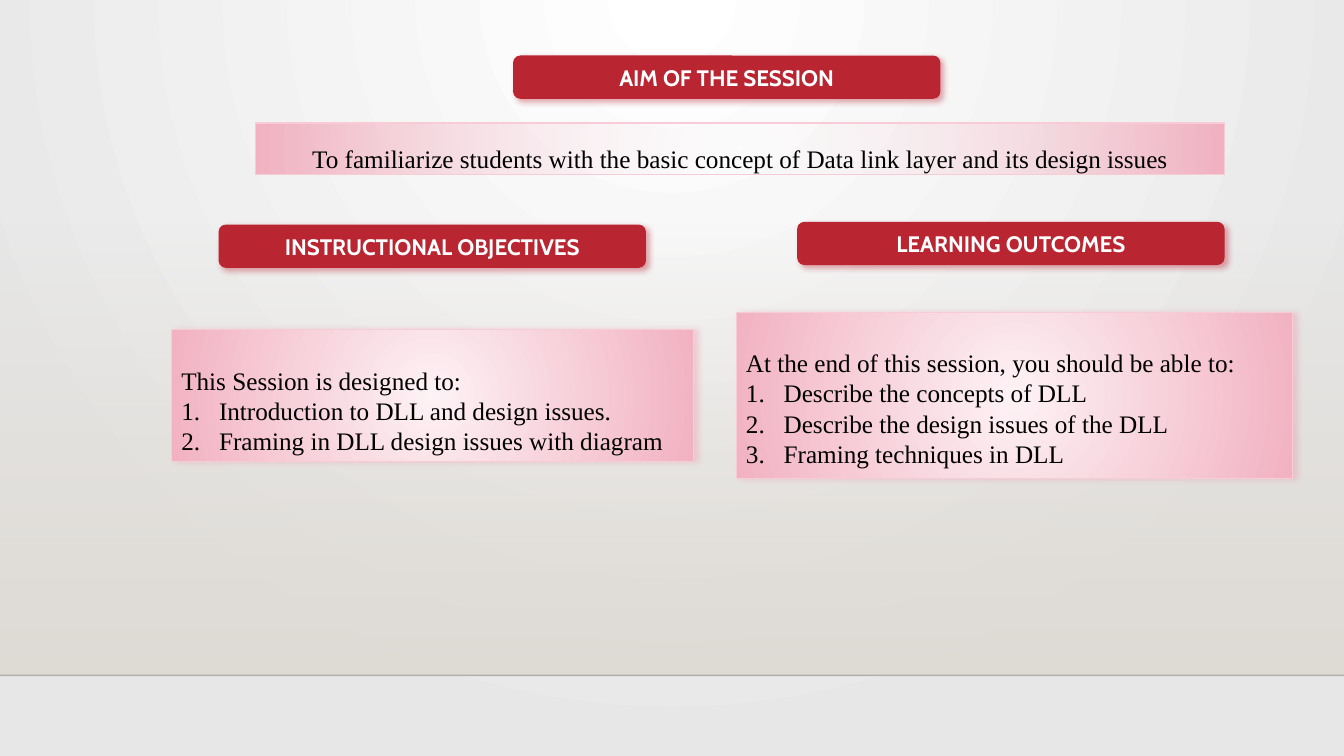
from dataclasses import dataclass

import pptx
import pptx.dml.color
import pptx.enum.shapes
import pptx.enum.text
import pptx.oxml
import pptx.oxml.ns
import pptx.util
from lxml import etree
from pptx.util import Cm

ALIGN = pptx.enum.text.PP_ALIGN
ANCHOR = pptx.enum.text.MSO_ANCHOR
SHAPE = pptx.enum.shapes.MSO_SHAPE
qn = pptx.oxml.ns.qn


@dataclass(frozen=True)
class Theme:
    white: str = "FFFFFF"
    backdrop_edge: str = "E7E7E7"
    floor: str = "DFDBD5"
    floor_line: str = "000001"
    heading: str = "BA2532"
    panel_center: str = "FDF2F5"
    panel_edge: str = "F2B2C2"
    panel_line: str = "F7CCD6"
    panel_shadow: str = "EE99AD"
    body: str = "000000"
    heading_font: str = "Cabin"
    body_font: str = "Times New Roman"
    heading_size: int = 16
    body_size: int = 18


THEME = Theme()
SLIDE_WIDTH, SLIDE_HEIGHT = Cm(33.87), Cm(19.05)
FLOOR_TOP, FLOOR_BOTTOM = Cm(5.61), Cm(17.02)
HEADING_SIZE = Cm(10.77), Cm(1.09)
LIST_INDENT = Cm(0.95)


def rgb(value):
    return pptx.dml.color.RGBColor.from_string(value)


def add_child(parent, tag, **attributes):
    child = etree.SubElement(parent, qn(tag))
    for name, value in attributes.items():
        child.set(name, str(value))
    return child


def add_color(parent, color, alpha=100):
    """Add a colour; alpha is the opacity in percent."""
    node = add_child(parent, "a:srgbClr", val=color)
    if alpha < 100:
        add_child(node, "a:alpha", val=alpha * 1000)


def set_gradient(fill, properties, start, end, start_alpha=100, circle=None):
    """Fill from start to end: downwards, or around the circle's l, t, r, b percents."""
    fill.solid()
    gradient = etree.Element(qn("a:gradFill"), rotWithShape="1")
    stops = add_child(gradient, "a:gsLst")
    add_color(add_child(stops, "a:gs", pos=0), start, start_alpha)
    add_color(add_child(stops, "a:gs", pos=100000), end)
    if circle:
        path = add_child(gradient, "a:path", path="circle")
        edges = {side: percent * 1000 for side, percent in zip("ltrb", circle)}
        add_child(path, "a:fillToRect", **edges)
    else:
        add_child(gradient, "a:lin", ang=90 * 60000, scaled=0)
    properties.replace(properties.find(qn("a:solidFill")), gradient)


def add_shadow(shape, color, angle):
    effects = shape.element.spPr.find(qn("a:effectLst"))
    shadow = add_child(effects, "a:outerShdw", blurRad=pptx.util.Pt(4), dist=pptx.util.Pt(3),
                       dir=angle * 60000, algn="tl", rotWithShape=0)
    add_color(shadow, color, 40)


def add_box(slide, kind, left, top, width, height):
    box = slide.shapes.add_shape(kind, left, top, width, height)
    box.shadow.inherit = False
    box.line.fill.background()
    return box


def write_text(paragraph, text, *, font, size, color, bold=False,
               align=ALIGN.LEFT, spacing=None, numbered=False):
    paragraph.alignment = align
    if spacing:
        paragraph.line_spacing = spacing
    if numbered:
        properties = paragraph._p.get_or_add_pPr()
        properties.set("marL", str(LIST_INDENT))
        properties.set("indent", str(-LIST_INDENT))
        add_child(properties, "a:buFont", typeface="+mj-lt")
        add_child(properties, "a:buAutoNum", type="arabicPeriod")
    run = paragraph.add_run()
    run.text = text
    run.font.name = font
    run.font.size = pptx.util.Pt(size)
    run.font.bold = bold
    run.font.color.rgb = rgb(color)


def add_backdrop(slide):
    fill = slide.background.fill
    fill.solid()
    set_gradient(fill, slide.element.find(".//" + qn("p:bgPr")), THEME.white,
                 THEME.backdrop_edge, circle=(43, 0, 43, 100))
    floor = add_box(slide, SHAPE.RECTANGLE, 0, FLOOR_TOP, SLIDE_WIDTH, FLOOR_BOTTOM - FLOOR_TOP)
    set_gradient(floor.fill, floor.element.spPr, THEME.floor, THEME.floor, start_alpha=0)

    edge = slide.shapes.add_connector(pptx.enum.shapes.MSO_CONNECTOR.STRAIGHT,
                                      0, FLOOR_BOTTOM, SLIDE_WIDTH, FLOOR_BOTTOM)
    edge.line.width = pptx.util.Pt(1)
    edge.line.color.rgb = rgb(THEME.floor_line)
    edge_color = edge.element.spPr.find(".//" + qn("a:srgbClr"))
    add_child(edge_color, "a:alpha", val=20000)
    add_child(edge.element.spPr, "a:effectLst")


def add_heading(slide, text, left, top):
    heading = add_box(slide, SHAPE.ROUNDED_RECTANGLE, left, top, *HEADING_SIZE)
    heading.fill.solid()
    heading.fill.fore_color.rgb = rgb(THEME.heading)
    add_shadow(heading, THEME.heading, 45)
    frame = heading.text_frame
    frame.vertical_anchor = ANCHOR.MIDDLE
    write_text(frame.paragraphs[0], text, font=THEME.heading_font, size=THEME.heading_size,
               color=THEME.white, bold=True, align=ALIGN.CENTER)


def add_panel(slide, intro, left, top, width, height, *, items=(), center_alpha=100,
              shadow=True, align=ALIGN.LEFT, spacing=2.0):
    """Add a pink panel with an intro line and an optional numbered list."""
    panel = add_box(slide, SHAPE.RECTANGLE, left, top, width, height)
    set_gradient(panel.fill, panel.element.spPr, THEME.panel_center, THEME.panel_edge,
                 center_alpha, circle=(50, 50, 50, 50))
    panel.line.color.rgb = rgb(THEME.panel_line)
    panel.line.width = pptx.util.Pt(0.75)
    if shadow:
        add_shadow(panel, THEME.panel_shadow, 0)
    frame = panel.text_frame
    frame.word_wrap = True
    frame.vertical_anchor = ANCHOR.TOP
    frame.auto_size = pptx.enum.text.MSO_AUTO_SIZE.SHAPE_TO_FIT_TEXT
    body = dict(font=THEME.body_font, size=THEME.body_size, color=THEME.body)
    write_text(frame.paragraphs[0], intro, align=align, spacing=spacing, **body)
    for item in items:
        write_text(frame.add_paragraph(), item, numbered=True, **body)


def main():
    presentation = pptx.Presentation()
    presentation.slide_width, presentation.slide_height = SLIDE_WIDTH, SLIDE_HEIGHT
    slide = presentation.slides.add_slide(presentation.slide_layouts[6])
    add_backdrop(slide)

    add_heading(slide, "AIM OF THE SESSION", Cm(12.93), Cm(1.4))
    add_panel(slide,
              "To familiarize students with the basic concept of Data link layer "
              "and its design issues",
              Cm(6.45), Cm(3.1), Cm(24.41), Cm(1.3),
              center_alpha=0, shadow=False, align=ALIGN.CENTER, spacing=1.5)

    add_heading(slide, "INSTRUCTIONAL OBJECTIVES", Cm(5.51), Cm(5.66))
    add_panel(slide, "This Session is designed to:",
              Cm(4.32), Cm(8.31), Cm(13.16), Cm(3.33),
              items=("Introduction to DLL and design issues.",
                     "Framing in DLL design issues with diagram"))

    add_heading(slide, "LEARNING OUTCOMES", Cm(20.09), Cm(5.59))
    add_panel(slide, "At the end of this session, you should be able to:",
              Cm(18.55), Cm(7.87), Cm(14.02), Cm(4.19),
              items=("Describe the concepts of DLL",
                     "Describe the design issues of the DLL",
                     "Framing techniques in DLL"))

    presentation.save("out.pptx")


if __name__ == "__main__":
    main()
